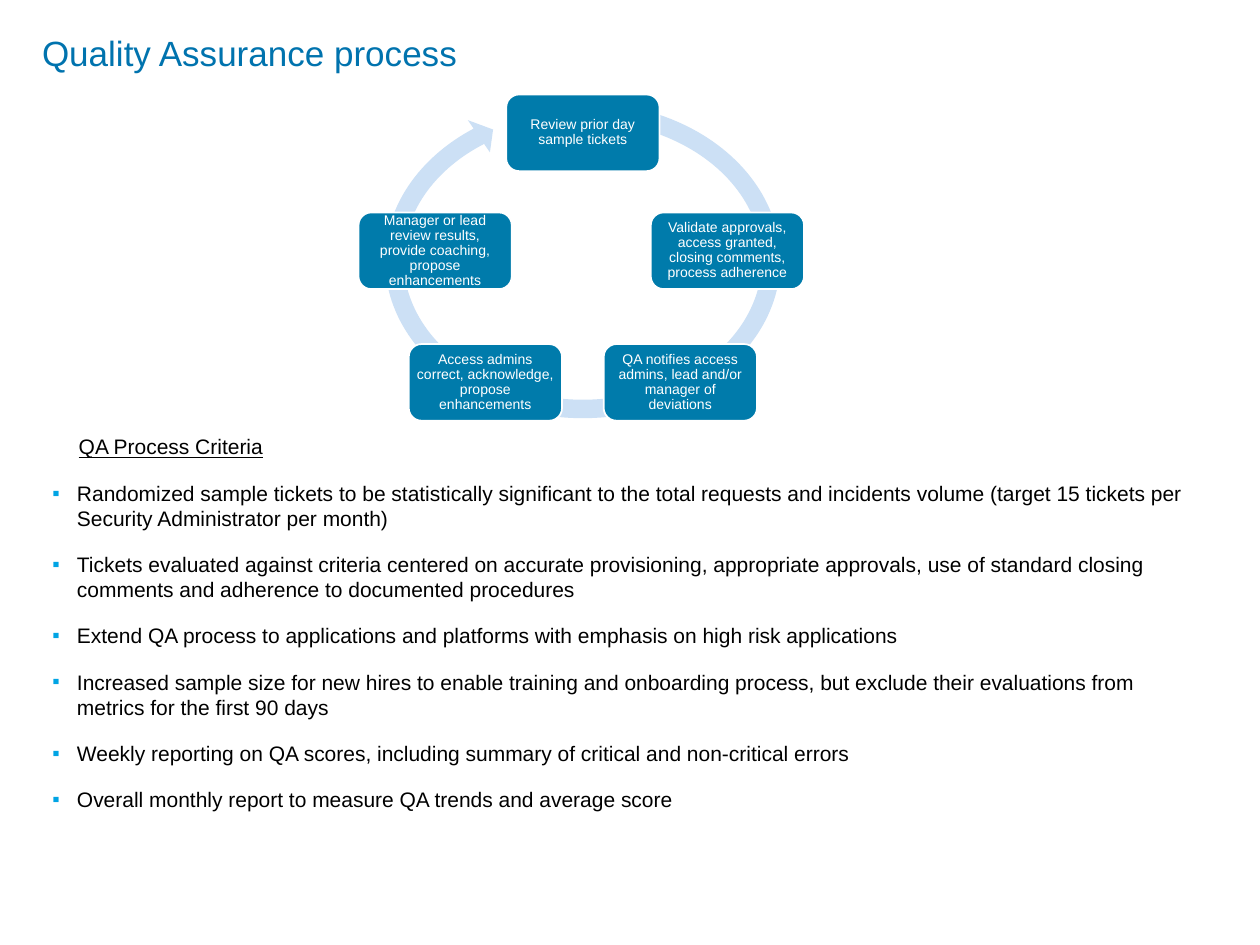
from pptx import Presentation
from pptx.dml.color import RGBColor
from pptx.enum.shapes import MSO_SHAPE as Preset
from pptx.enum.text import MSO_ANCHOR as Anchor, MSO_AUTO_SIZE as AutoSize, PP_ALIGN as Align
from pptx.oxml.ns import qn
from pptx.util import Pt
from lxml.etree import SubElement

TITLE = "Quality Assurance process"
HEADING = "QA Process Criteria"
CRITERIA = [
    "Randomized sample tickets to be statistically significant to the total requests and incidents volume (target 15 tickets per Security Administrator per month)",
    "Tickets evaluated against criteria centered on accurate provisioning, appropriate approvals, use of standard closing comments and adherence to documented procedures",
    "Extend QA process to applications and platforms with emphasis on high risk applications",
    "Increased sample size for new hires to enable training and onboarding process, but exclude their evaluations from metrics for the first 90 days",
    "Weekly reporting on QA scores, including summary of critical and non-critical errors",
    "Overall monthly report to measure QA trends and average score",
]
STEPS = [
    ("Review prior day sample tickets", 0, 54),
    ("Validate approvals, access granted, closing comments, process adherence", 82.6, 121.4),
    ("QA notifies access admins, lead and/or manager of deviations", 55.7, 196.6),
    ("Access admins correct, acknowledge, propose enhancements", -55.7, 196.6),
    ("Manager or lead review results, provide coaching, propose enhancements", -84.4, 121.4),
]
CYCLE_CENTER = 333.1
STEP_WIDTH, STEP_HEIGHT = 87.6, 43.8
ARROW_SHAPE = [0.055, 3.307, 138.044, 173.687, 0.058]


def color(hex_code):
    return RGBColor.from_string(hex_code)


def place(shape, left, top, width, height):
    shape.left, shape.top, shape.width, shape.height = map(Pt, (left, top, width, height))


def set_insets(frame, side, vertical=0):
    frame.margin_left = frame.margin_right = Pt(side)
    frame.margin_top = frame.margin_bottom = Pt(vertical)
    frame.word_wrap = True
    frame.auto_size = AutoSize.NONE


def style(paragraph, size, hex_code, align=Align.LEFT, underline=None):
    paragraph.alignment = align
    for run in paragraph.runs:
        run.font.name = "Arial"
        run.font.size = Pt(size)
        run.font.color.rgb = color(hex_code)
        run.font.underline = underline


def set_bullet(paragraph, indent, hanging, mark=None):
    properties = paragraph._p.get_or_add_pPr()
    properties.set("marL", str(Pt(indent)))
    properties.set("indent", str(Pt(-hanging)))
    if mark is None:
        SubElement(properties, qn("a:buNone"))
        return
    tint = SubElement(properties, qn("a:buClr"))
    SubElement(tint, qn("a:srgbClr")).set("val", "00A4E4")
    SubElement(properties, qn("a:buFont")).set("typeface", "Arial")
    SubElement(properties, qn("a:buChar")).set("char", mark)


def add_preset(slide, preset, left, top, width, height, fill):
    shape = slide.shapes.add_shape(preset, *map(Pt, (left, top, width, height)))
    shape.shadow.inherit = False
    shape.fill.solid()
    shape.fill.fore_color.rgb = color(fill)
    shape.line.fill.background()
    return shape


def add_title(slide):
    title = slide.shapes.title
    place(title, 24, 17.5, 633.6, 24.5)
    set_insets(title.text_frame, 0)
    title.text_frame.vertical_anchor = Anchor.BOTTOM
    title.text_frame.text = TITLE
    style(title.text_frame.paragraphs[0], 20, "0073AE")


def add_criteria(slide):
    criteria = slide.placeholders[1]
    place(criteria, 30, 248, 660, 226)
    frame = criteria.text_frame
    set_insets(frame, 0)
    frame.vertical_anchor = Anchor.TOP
    frame.text = "\n".join([HEADING] + CRITERIA)
    heading, *bullets = frame.paragraphs
    for paragraph in frame.paragraphs:
        paragraph.line_spacing = 1.0
        paragraph.space_before = Pt(12)
        style(paragraph, 12, "000000")
    heading.space_before = Pt(0)
    style(heading, 12, "000000", underline=True)
    set_bullet(heading, 15, 0)
    for bullet in bullets:
        set_bullet(bullet, 14, 14, "▪")


def add_cycle(slide):
    arrow = add_preset(slide, Preset.CIRCULAR_ARROW, 214.2, 52.7, 237.6, 192.2, "CCE0F5")
    for index, value in enumerate(ARROW_SHAPE):
        arrow.adjustments[index] = value
    for label, offset, top in STEPS:
        left = CYCLE_CENTER + offset - STEP_WIDTH / 2
        step = add_preset(slide, Preset.ROUNDED_RECTANGLE, left, top, STEP_WIDTH, STEP_HEIGHT, "007BAB")
        step.line.color.rgb = color("FFFFFF")
        step.line.width = Pt(1)
        set_insets(step.text_frame, 2.2)
        step.text_frame.vertical_anchor = Anchor.MIDDLE
        step.text_frame.text = label
        step.text_frame.paragraphs[0].line_spacing = 0.9
        style(step.text_frame.paragraphs[0], 8, "FFFFFF", Align.CENTER)


def main():
    deck = Presentation()
    deck.slide_width, deck.slide_height = Pt(720), Pt(540)
    slide = deck.slides.add_slide(deck.slide_layouts[1])
    add_title(slide)
    add_criteria(slide)
    add_cycle(slide)
    deck.save("out.pptx")


if __name__ == "__main__":
    main()
